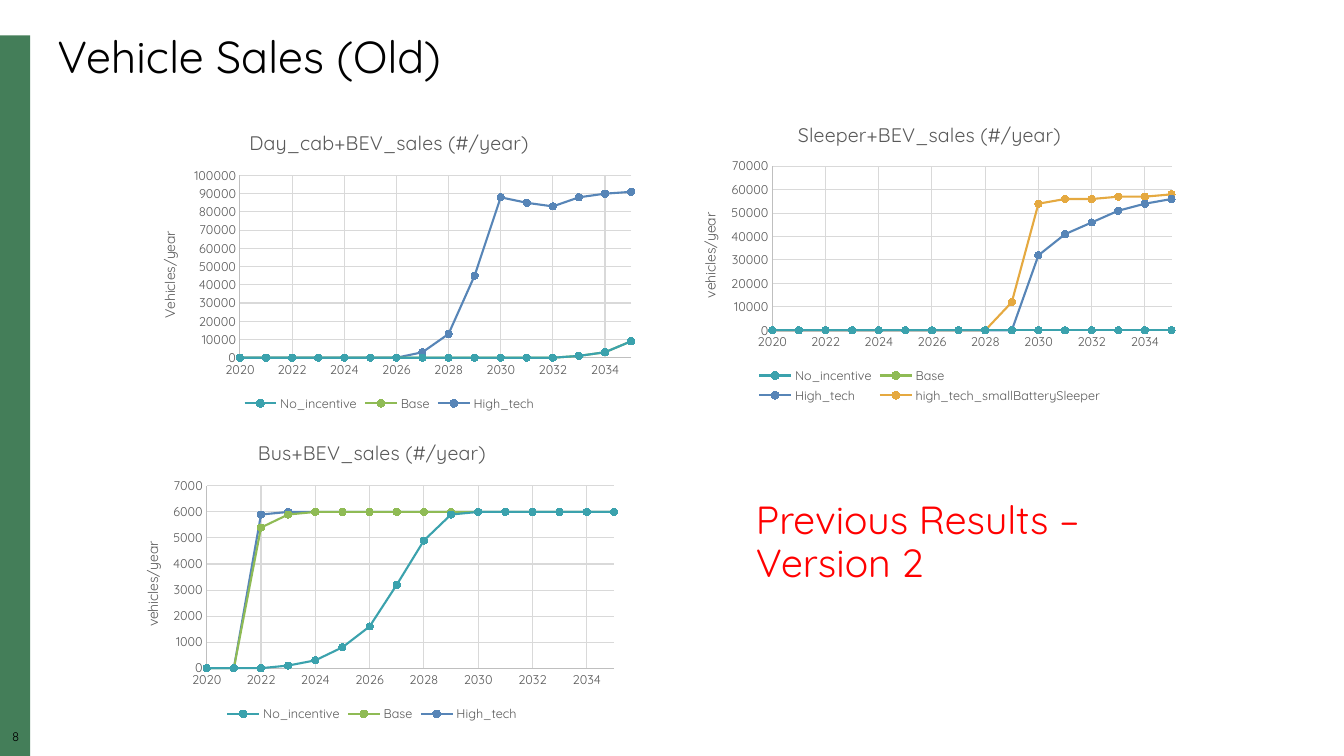
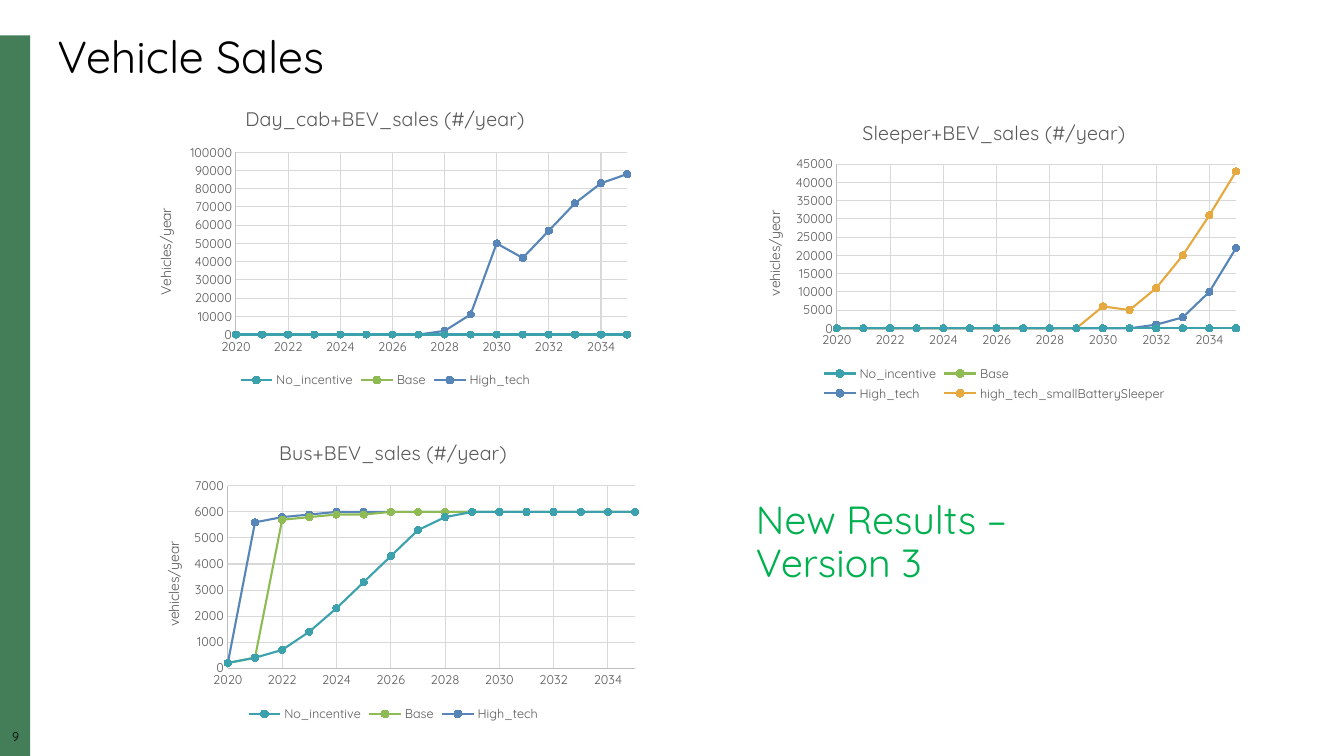
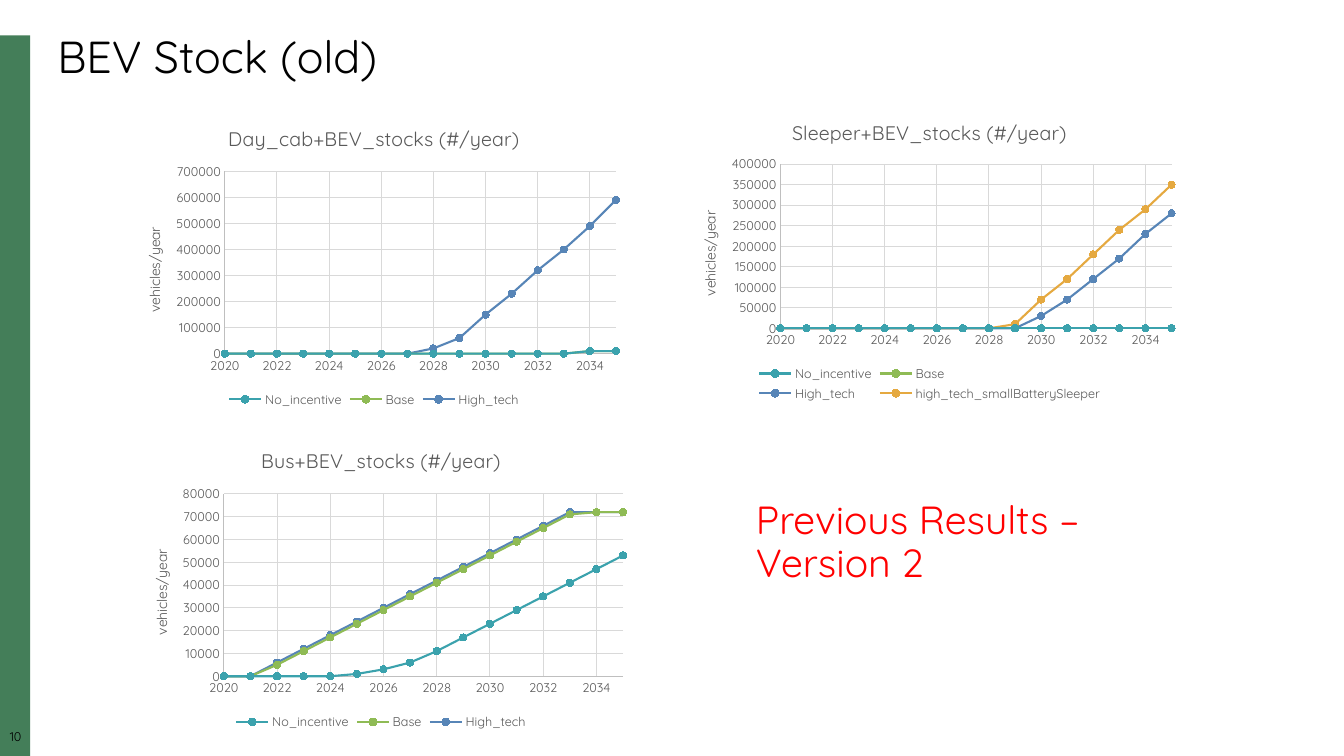
import pptx
import pptx.chart.data
import pptx.dml.color
import pptx.enum.chart
import pptx.enum.shapes
import pptx.enum.text
import pptx.util
from lxml import etree
from pptx.dml.color import RGBColor
from pptx.util import Inches, Pt

FONT = "Quicksand"
GREEN = RGBColor(0x44, 0x7E, 0x59)
BLACK = RGBColor(0x00, 0x00, 0x00)
GREY = RGBColor(0x59, 0x59, 0x59)
AXIS = RGBColor(0xBF, 0xBF, 0xBF)
GRID = RGBColor(0xD9, 0xD9, 0xD9)
RED = RGBColor(0xFF, 0x00, 0x00)
NEW_GREEN = RGBColor(0x00, 0xB0, 0x50)
SCENARIOS = [
    ("No_incentive", RGBColor(0x3B, 0xA2, 0xAD)),
    ("Base", RGBColor(0x8F, 0xBB, 0x55)),
    ("High_tech", RGBColor(0x57, 0x85, 0xB7)),
    ("high_tech_smallBatterySleeper", RGBColor(0xE5, 0xA9, 0x40)),
]
YEARS = range(2020, 2036)
CHART_W, CHART_H = 5, 3
C_NS = "http://schemas.openxmlformats.org/drawingml/2006/chart"
ZERO = [0] * 16
OLD_DAY_CAB = [0] * 13 + [1000, 3000, 9000]
OLD_DAY_STOCK = [0] * 14 + [10000, 10000]

SLIDES = [
    ("Vehicle Sales (Old)", 8, "Previous Results – Version 2", RED, [
        ("Day_cab+BEV_sales (#/year)", "Vehicles/year", 1.36, 1.12, 100000, [
            OLD_DAY_CAB,
            OLD_DAY_CAB,
            [0] * 7 + [3000, 13000, 45000, 88000, 85000, 83000, 88000, 90000, 91000],
        ]),
        ("Sleeper+BEV_sales (#/year)", "vehicles/year", 6.72, 1.04, 70000, [
            ZERO,
            ZERO,
            [0] * 10 + [32000, 41000, 46000, 51000, 54000, 56000],
            [0] * 9 + [12000, 54000, 56000, 56000, 57000, 57000, 58000],
        ]),
        ("Bus+BEV_sales (#/year)", "vehicles/year", 1.19, 4.2, 7000, [
            [0, 0, 0, 100, 300, 800, 1600, 3200, 4900, 5900] + [6000] * 6,
            [0, 0, 5400, 5900] + [6000] * 12,
            [0, 0, 5900] + [6000] * 13,
        ]),
    ]),
    ("Vehicle Sales", 9, "New Results – Version 3", NEW_GREEN, [
        ("Day_cab+BEV_sales (#/year)", "Vehicles/year", 1.32, 0.89, 100000, [
            ZERO,
            ZERO,
            [0] * 8 + [2000, 11000, 50000, 42000, 57000, 72000, 83000, 88000],
        ]),
        ("Sleeper+BEV_sales (#/year)", "vehicles/year", 7.36, 1.02, 45000, [
            ZERO,
            ZERO,
            [0] * 12 + [1000, 3000, 10000, 22000],
            [0] * 10 + [6000, 5000, 11000, 20000, 31000, 43000],
        ]),
        ("Bus+BEV_sales (#/year)", "vehicles/year", 1.4, 4.2, 7000, [
            [200, 400, 700, 1400, 2300, 3300, 4300, 5300, 5800] + [6000] * 7,
            [200, 400, 5700, 5800, 5900, 5900] + [6000] * 10,
            [200, 5600, 5800, 5900] + [6000] * 12,
        ]),
    ]),
    ("BEV Stock (old)", 10, "Previous Results – Version 2", RED, [
        ("Day_cab+BEV_stocks (#/year)", "vehicles/year", 1.21, 1.08, 700000, [
            OLD_DAY_STOCK,
            OLD_DAY_STOCK,
            [0] * 8 + [20000, 60000, 150000, 230000, 320000, 400000, 490000, 590000],
        ]),
        ("Sleeper+BEV_stocks (#/year)", "vehicles/year", 6.72, 1.02, 400000, [
            ZERO,
            ZERO,
            [0] * 10 + [30000, 70000, 120000, 170000, 230000, 280000],
            [0] * 9 + [10000, 70000, 120000, 180000, 240000, 290000, 350000],
        ]),
        ("Bus+BEV_stocks (#/year)", "vehicles/year", 1.28, 4.28, 80000, [
            [0] * 5 + [1000, 3000, 6000] + list(range(11000, 54000, 6000)),
            [0, 0] + list(range(5000, 72000, 6000)) + [72000, 72000],
            [0, 0] + list(range(6000, 73000, 6000)) + [72000, 72000],
        ]),
    ]),
]


def style_font(font, size, color):
    font.name = FONT
    font.size = Pt(size)
    font.bold = False
    font.color.rgb = color


def add_text(s, text, left, top, width, height, size, color):
    tf = s.shapes.add_textbox(Inches(left), Inches(top), Inches(width), Inches(height)).text_frame
    tf.word_wrap = True
    p = tf.paragraphs[0]
    p.line_spacing = 0.9
    r = p.add_run()
    r.text = text
    style_font(r.font, size, color)
    return tf


def add_frame(s, title, number):
    band = s.shapes.add_shape(pptx.enum.shapes.MSO_SHAPE.RECTANGLE,
                              Inches(0), Inches(0.35), Inches(0.3), Inches(7.15))
    band.shadow.inherit = False
    band.fill.solid()
    band.fill.fore_color.rgb = GREEN
    band.line.fill.background()
    tf = add_text(s, str(number), 0, 7.25, 0.31, 0.17, 9, BLACK)
    tf.margin_left = tf.margin_right = tf.margin_top = tf.margin_bottom = 0
    tf.paragraphs[0].alignment = pptx.enum.text.PP_ALIGN.CENTER
    add_text(s, title, 0.47, 0.3, 12.5, 0.59, 32, BLACK)


def set_layout(parent, index, **values):
    for old in parent.findall(f"{{{C_NS}}}layout"):
        parent.remove(old)
    layout = etree.Element(f"{{{C_NS}}}layout")
    manual = etree.SubElement(layout, f"{{{C_NS}}}manualLayout")
    for tag, value in values.items():
        etree.SubElement(manual, f"{{{C_NS}}}{tag}").set("val", str(value))
    parent.insert(index, layout)


def set_title(title, text, size):
    r = title.text_frame.paragraphs[0].add_run()
    r.text = text
    style_font(r.font, size, GREY)


def style_axis(axis, low, high):
    axis.minimum_scale, axis.maximum_scale = low, high
    axis.has_major_gridlines = True
    for line, color in ((axis.major_gridlines.format.line, GRID), (axis.format.line, AXIS)):
        line.color.rgb = color
        line.width = Pt(0.75)
    axis.major_tick_mark = axis.minor_tick_mark = pptx.enum.chart.XL_TICK_MARK.NONE
    style_font(axis.tick_labels.font, 9, GREY)
    axis.tick_labels.number_format = "General"
    axis.tick_labels.number_format_is_linked = False


def place_plot(chart, top_value, count):
    left = 0.54 + 0.08 * len(str(top_value))
    top, height = (0.62, 1.81) if count == 3 else (0.61, 1.63)
    set_layout(chart._chartSpace.chart.plotArea, 0, layoutTarget="inner",
               xMode="edge", yMode="edge",
               x=round(left / CHART_W, 3), y=round(top / CHART_H, 3),
               w=round((4.9 - left) / CHART_W, 3), h=round(height / CHART_H, 3))
    title = chart.value_axis.axis_title
    title.text_frame._txBody.bodyPr.set("rot", "-5400000")
    title.text_frame._txBody.bodyPr.set("vert", "horz")
    set_layout(title._element, 1, xMode="edge", yMode="edge",
               x=0.04, y=round((top + height / 2 - 0.38) / CHART_H, 3))


def add_scatter(s, title, unit, left, top, top_value, rows):
    data = pptx.chart.data.XyChartData()
    for (name, color), row in zip(SCENARIOS, rows):
        series = data.add_series(name)
        for year, value in zip(YEARS, row):
            series.add_data_point(year, value)
    chart = s.shapes.add_chart(pptx.enum.chart.XL_CHART_TYPE.XY_SCATTER_LINES,
                               Inches(left), Inches(top),
                               Inches(CHART_W), Inches(CHART_H), data).chart
    style_font(chart.font, 10, BLACK)
    chart.has_title = True
    set_title(chart.chart_title, title, 14)
    chart.chart_title.include_in_layout = False
    chart.has_legend = True
    chart.legend.position = pptx.enum.chart.XL_LEGEND_POSITION.BOTTOM
    chart.legend.include_in_layout = False
    style_font(chart.legend.font, 9, GREY)
    style_axis(chart.category_axis, YEARS[0], YEARS[-1])
    chart.category_axis.major_unit = 2
    style_axis(chart.value_axis, 0, top_value)
    set_title(chart.value_axis.axis_title, unit, 10)
    place_plot(chart, top_value, len(rows))
    chart.plots[0].vary_by_categories = False
    for series, (name, color) in zip(chart.plots[0].series, SCENARIOS):
        series.smooth = False
        series.format.line.color.rgb = color
        series.format.line.width = Pt(1.5)
        marker = series.marker
        marker.style = pptx.enum.chart.XL_MARKER_STYLE.CIRCLE
        marker.size = 5
        marker.format.fill.solid()
        marker.format.fill.fore_color.rgb = color
        marker.format.line.color.rgb = color


def main():
    prs = pptx.Presentation()
    prs.slide_width, prs.slide_height = Inches(13.33), Inches(7.5)
    for title, number, note, color, charts in SLIDES:
        s = prs.slides.add_slide(prs.slide_layouts[6])
        add_frame(s, title, number)
        for chart in charts:
            add_scatter(s, *chart)
        add_text(s, note, 7.4, 4.92, 4.06, 0.95, 28, color)
    prs.save("out.pptx")


if __name__ == "__main__":
    main()
